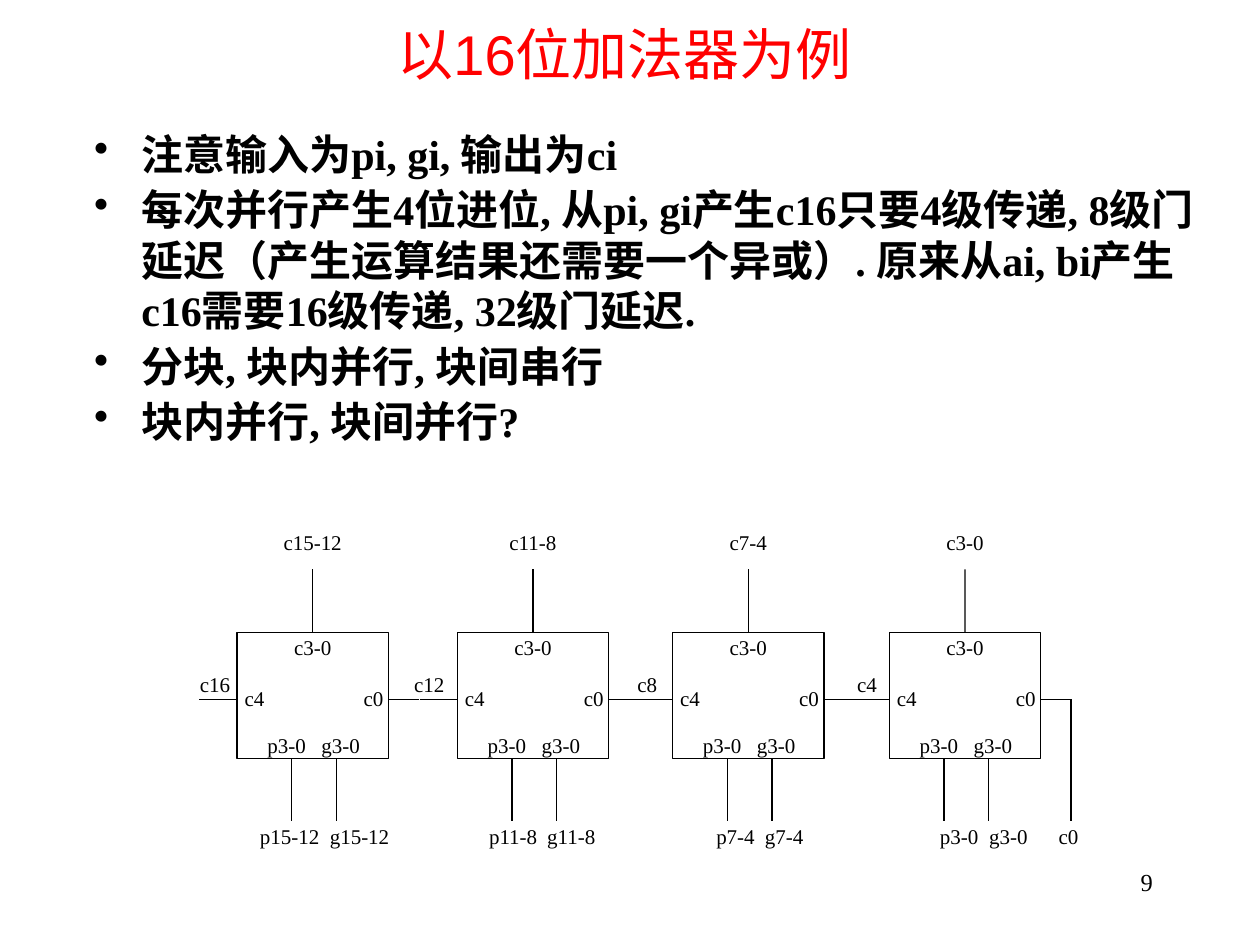
from dataclasses import dataclass

from lxml.etree import SubElement
from pptx import Presentation
from pptx.dml.color import RGBColor
from pptx.enum.shapes import MSO_CONNECTOR as Conn, MSO_SHAPE as Shape
from pptx.enum.text import MSO_ANCHOR as Anchor, PP_ALIGN as Align
from pptx.oxml.ns import qn
from pptx.util import Cm, Pt

COLORS = {"ink": "000000", "title": "FF0000", "paper": "FFFFFF"}
SERIF, SANS = "Times New Roman", "Arial"

# Adder block geometry, in cm
BOX_W, BOX_H, BOX_Y = 3.05, 2.54, 12.75
WIRE = 1.27
CARRY_Y = 14.1
CARRY_OUT, CARRY_IN = -0.76, 3.66
LEGS = (1.1, 2.0)
LABEL_W, LABEL_H = 2.0, 0.5


@dataclass
class Adder:
    x: float
    sums: str
    carry: str
    carry_x: float
    bits: str
    p_x: float
    g_x: float


ADDERS = [
    Adder(4.78, "c15-12", "c16", 4.03, "15-12", 5.24, 6.65),
    Adder(9.22, "c11-8", "c12", 8.35, "11-8", 9.86, 11.03),
    Adder(13.56, "c7-4", "c8", 12.85, "7-4", 14.44, 15.42),
    Adder(17.93, "c3-0", "c4", 17.28, "3-0", 18.95, 19.94),
]

BULLETS = [
    "注意输入为pi, gi, 输出为ci",
    "每次并行产生4位进位, 从pi, gi产生c16只要4级传递, "
    "8级门延迟（产生运算结果还需要一个异或）. "
    "原来从ai, bi产生c16需要16级传递, 32级门延迟.",
    "分块, 块内并行, 块间串行",
    "块内并行, 块间并行?",
]


def rgb(name: str) -> RGBColor:
    return RGBColor.from_string(COLORS[name])


def add_text(slide, text: str, x: float, y: float, w: float, h: float, size: int,
             font: str = SERIF, color: str = "ink", align=Align.LEFT,
             bold: bool = False, margins: bool = True):
    sp = slide.shapes.add_textbox(Cm(x), Cm(y), Cm(w), Cm(h))
    tf = sp.text_frame
    tf.word_wrap = True
    if not margins:
        tf.margin_left = tf.margin_right = tf.margin_top = tf.margin_bottom = 0
    tf.text = text
    for p in tf.paragraphs:
        p.alignment = align
        for r in p.runs:
            r.font.size, r.font.name, r.font.bold = Pt(size), font, bold
            r.font.color.rgb = rgb(color)
    return tf


def add_label(slide, text: str, x: float, y: float, align=Align.LEFT) -> None:
    """Place a small label whose left, centre or right edge is at x."""
    shift = {Align.LEFT: 0, Align.CENTER: LABEL_W / 2, Align.RIGHT: LABEL_W}[align]
    add_text(slide, text, x - shift, y, LABEL_W, LABEL_H, 12, align=align, margins=False)


def add_line(slide, x1: float, y1: float, x2: float, y2: float):
    ln = slide.shapes.add_connector(Conn.STRAIGHT, Cm(x1), Cm(y1), Cm(x2), Cm(y2))
    ln.line.color.rgb = rgb("ink")
    ln.line.width = Pt(0.75)
    SubElement(ln._element.spPr, qn("a:effectLst"))
    return ln


def add_bullet(p) -> None:
    p.space_before = Pt(3)
    pPr = p._p.get_or_add_pPr()
    pPr.set("marL", str(Cm(0.95)))
    pPr.set("indent", str(-Cm(0.95)))
    SubElement(pPr, qn("a:buChar")).set("char", "•")


def add_adder(slide, a: Adder) -> None:
    mid, bottom = a.x + BOX_W / 2, BOX_Y + BOX_H

    # Carry wire runs behind the block
    add_line(slide, a.x + CARRY_OUT, CARRY_Y, a.x + CARRY_IN, CARRY_Y)
    sp = slide.shapes.add_shape(Shape.RECTANGLE, Cm(a.x), Cm(BOX_Y), Cm(BOX_W), Cm(BOX_H))
    sp.shadow.inherit = False
    sp.fill.solid()
    sp.fill.fore_color.rgb = rgb("paper")
    sp.line.color.rgb = rgb("ink")
    sp.line.width = Pt(0.75)

    # Output stem and input legs
    add_line(slide, mid, BOX_Y - WIRE, mid, BOX_Y).end_connect(sp, 0)
    for dx in LEGS:
        add_line(slide, a.x + dx, bottom, a.x + dx, bottom + WIRE)

    # Port names inside the block
    add_label(slide, "c3-0", mid, 12.8, Align.CENTER)
    add_label(slide, "c4", a.x + 0.15, 13.82)
    add_label(slide, "c0", a.x + 2.95, 13.82, Align.RIGHT)
    add_label(slide, "p3-0", a.x + 0.61, 14.76)
    add_label(slide, "g3-0", a.x + 1.7, 14.76)

    # Signal names outside the block
    add_label(slide, a.sums, mid, 10.67, Align.CENTER)
    add_label(slide, a.carry, a.carry_x, 13.54)
    add_label(slide, "p" + a.bits, a.p_x, 16.61)
    add_label(slide, "g" + a.bits, a.g_x, 16.61)


def main() -> None:
    prs = Presentation()
    prs.slide_width, prs.slide_height = Cm(25.4), Cm(19.05)
    s = prs.slides.add_slide(prs.slide_layouts[6])

    # Title
    tf = add_text(s, "以16位加法器为例", 1.8, 0, 21.59, 2.16, 32, SANS, "title", Align.CENTER)
    tf.vertical_anchor = Anchor.MIDDLE

    # Bullet list
    tf = add_text(s, "\n".join(BULLETS), 1.65, 2.46, 22.73, 7.14, 24, bold=True)
    for p in tf.paragraphs:
        add_bullet(p)

    # Adder chain
    for a in ADDERS:
        add_adder(s, a)

    # Initial carry input
    carry_x = ADDERS[-1].x + CARRY_IN
    add_line(s, carry_x, CARRY_Y, carry_x, BOX_Y + BOX_H + WIRE)
    add_label(s, "c0", 21.34, 16.61)

    # Page number
    add_text(s, "9", 18.21, 17.35, 5.28, 1.27, 14, align=Align.RIGHT)

    prs.save("out.pptx")


if __name__ == "__main__":
    main()
